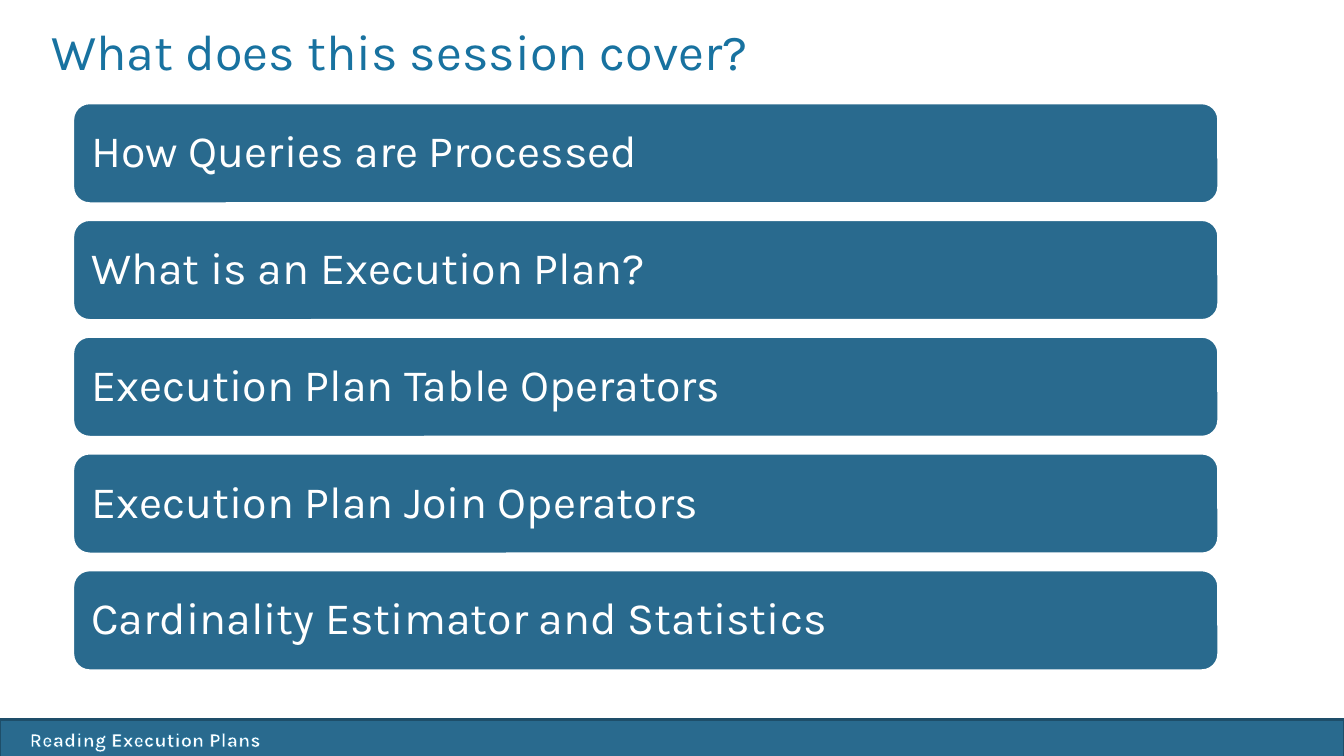
from lxml import etree
from pptx import Presentation
from pptx.dml.color import RGBColor
from pptx.enum.shapes import MSO_SHAPE
from pptx.enum.text import MSO_ANCHOR, MSO_AUTO_SIZE, PP_ALIGN
from pptx.oxml.ns import qn
from pptx.util import Pt

RECTANGLE = MSO_SHAPE.RECTANGLE
ROUNDED = MSO_SHAPE.ROUNDED_RECTANGLE
TOP, MIDDLE = MSO_ANCHOR.TOP, MSO_ANCHOR.MIDDLE
LEFT = PP_ALIGN.LEFT

COLORS = {"panel": "296A8E", "edge": "1E4E69", "title": "1872A0", "white": "FFFFFF"}
TOPICS = [
    "How Queries are Processed",
    "What is an Execution Plan?",
    "Execution Plan Table Operators",
    "Execution Plan Join Operators",
    "Cardinality Estimator and Statistics",
]
TOPIC_TOP, TOPIC_STEP = 73.5, 83.4


def add_panel(preset, left, top, width, height, edge):
    panel = slide.shapes.add_shape(preset, Pt(left), Pt(top), Pt(width), Pt(height))
    panel.shadow.inherit = False
    panel.fill.solid()
    panel.fill.fore_color.rgb = RGBColor.from_string(COLORS["panel"])
    panel.line.color.rgb = RGBColor.from_string(COLORS[edge])
    panel.line.width = Pt(2)
    return panel


def write(frame, text, size, color):
    frame.word_wrap = True
    frame.text = text
    paragraph = frame.paragraphs[0]
    paragraph.alignment = LEFT
    paragraph.font.name = "Karla"
    paragraph.font.size = Pt(size)
    paragraph.font.color.rgb = RGBColor.from_string(COLORS[color])
    return paragraph


prs = Presentation()
prs.slide_width, prs.slide_height = Pt(960), Pt(540)
slide = prs.slides.add_slide(prs.slide_layouts[5])

# Footer bar with the session name
add_panel(RECTANGLE, 0, 514, 960, 29, "edge")
footer = slide.shapes.add_textbox(Pt(14), Pt(516), Pt(436), Pt(24.5))
session_name = write(footer.text_frame, "Reading Execution Plans", 14, "white")
session_name.font.bold = True
letter_outline = etree.Element(qn("a:ln"), w=str(Pt(0.8)))
outline_fill = etree.SubElement(letter_outline, qn("a:solidFill"))
etree.SubElement(outline_fill, qn("a:srgbClr"), val=COLORS["title"])
session_name.runs[0].font._element.insert(0, letter_outline)

# Title
title = slide.shapes.title
title.left, title.top, title.width, title.height = Pt(29.5), Pt(18.7), Pt(864), Pt(90)
title.text_frame.auto_size = MSO_AUTO_SIZE.NONE
title.text_frame.vertical_anchor = TOP
heading = write(title.text_frame, "What does this session cover?", 36, "title")
heading.line_spacing = Pt(35)

# Topics
for row, topic in enumerate(TOPICS):
    panel = add_panel(ROUNDED, 52, TOPIC_TOP + row * TOPIC_STEP, 818.5, 72, "white")
    frame = panel.text_frame
    frame.vertical_anchor = MIDDLE
    frame.margin_left = frame.margin_right = Pt(9.6)
    frame.margin_top = frame.margin_bottom = Pt(9.6)
    write(frame, topic, 32, "white").line_spacing = 0.9

prs.save("out.pptx")
